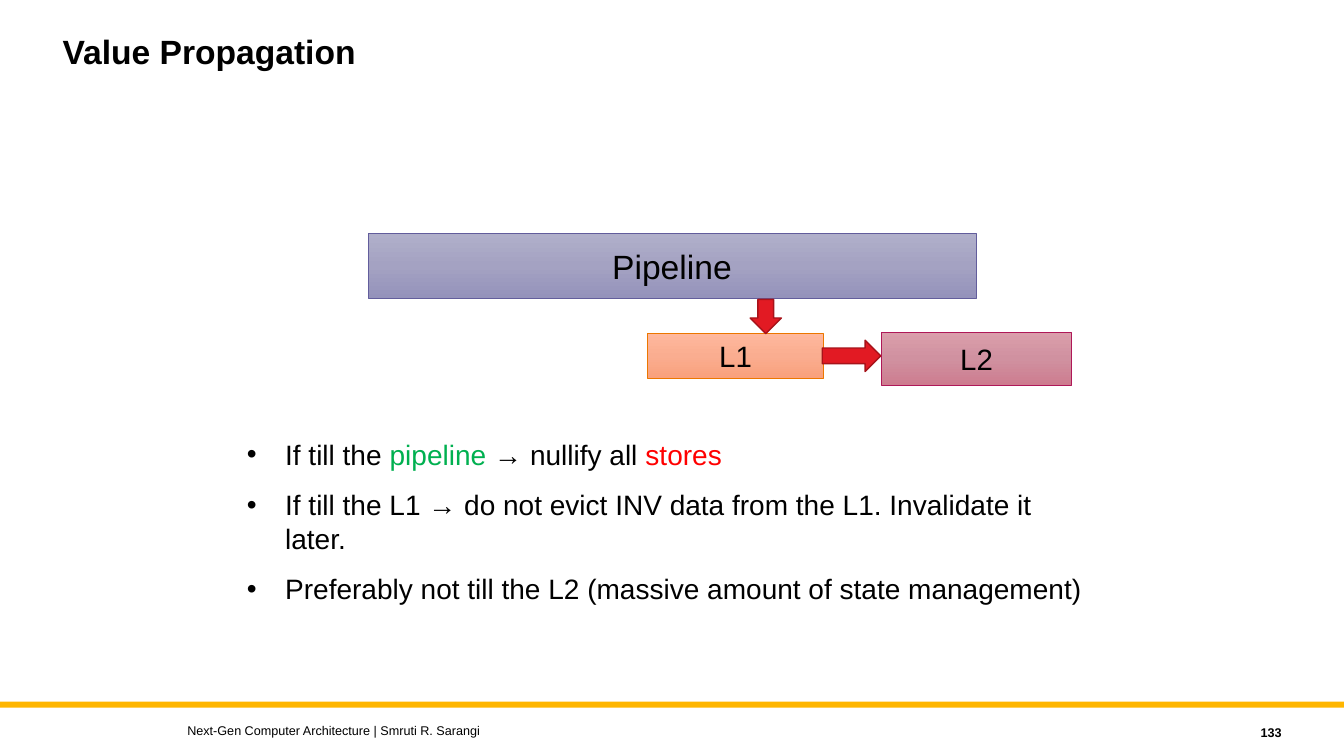
from copy import deepcopy
from lxml import etree
from pptx import Presentation
from pptx.dml.color import RGBColor as Rgb
from pptx.enum.shapes import MSO_SHAPE as Geo
from pptx.enum.text import MSO_ANCHOR as Anchor, PP_ALIGN as Align
from pptx.oxml.ns import qn
from pptx.util import Pt

PX = 9144
FONT = "Arial"
COLORS = {
    "black": "000000", "green": "00B050", "red": "FF0000", "gold": "FFB600",
    "arrow": "E21A23", "edge": "A7131A",
}
BOXES = [
    ("Pipeline", (365, 232, 603, 64), 24, ("B0AFCA", "A4A2C2", "9492BB"), "625D9C"),
    ("L1", (642, 331, 175, 44), 21, ("FFB89D", "FAAD90", "F9A17C"), "EC7700"),
    ("L2", (874, 330, 189, 52), 21, ("DA9EAB", "D091A0", "CD7C8F"), "AF1858"),
]
ARROWS = [((744, 297, 31, 34), 0), ((829, 324, 31, 58), 270)]
POINTS = [
    [("If till the ", "black"), ("pipeline ", "green"),
     ("→ nullify all ", "black"), ("stores", "red")],
    [("If till the L1 → do not evict INV data from the L1. Invalidate it later.", "black")],
    [("Preferably not till the L2 (massive amount of state management)", "black")],
]


def scale(box):
    """Turn px lengths into EMU."""
    return [n * PX for n in box]


def add_run(para, text, size, color="black", bold=False):
    """Add one styled run to a paragraph."""
    run = para.add_run()
    run.text = text
    font = run.font
    font.name, font.size, font.bold = FONT, Pt(size), bold
    font.color.rgb = Rgb.from_string(COLORS[color])


def add_title(slide, text):
    """Place and fill the title."""
    title = slide.shapes.title
    title.left, title.top, title.width, title.height = scale((52, 30, 1000, 90))
    frame = title.text_frame
    frame.vertical_anchor = Anchor.TOP
    para = frame.paragraphs[0]
    para.alignment, para.line_spacing = Align.LEFT, 0.9
    add_run(para, text, 24, bold=True)


def add_shape(slide, geo, box, fill, line, width):
    """Add a flat shape with a solid or graded fill."""
    shape = slide.shapes.add_shape(geo, *scale(box))
    shape.shadow.inherit = False
    if isinstance(fill, tuple):
        shape.fill.gradient()
        shape.fill.gradient_angle = 270
        stops = shape._element.spPr.find(qn("a:gradFill")).find(qn("a:gsLst"))
        stops.insert(1, deepcopy(stops[0]))
        for i, (stop, color) in enumerate(zip(shape.fill.gradient_stops, fill)):
            stop.position = i / 2
            stop.color.rgb = Rgb.from_string(color)
    else:
        shape.fill.solid()
        shape.fill.fore_color.rgb = Rgb.from_string(fill)
    if line:
        shape.line.color.rgb = Rgb.from_string(line)
        shape.line.width = Pt(width)
    else:
        shape.line.fill.background()
    return shape


def add_box(slide, text, box, size, fill, line):
    """Add a labelled block of the diagram."""
    frame = add_shape(slide, Geo.RECTANGLE, box, fill, line, 0.5).text_frame
    frame.vertical_anchor = Anchor.MIDDLE
    para = frame.paragraphs[0]
    para.alignment = Align.CENTER
    add_run(para, text, size)


def add_text(slide, box, anchor):
    """Add a wrapping text box and return its frame."""
    frame = slide.shapes.add_textbox(*scale(box)).text_frame
    frame.word_wrap = True
    frame.vertical_anchor = anchor
    return frame


def add_list(slide, box, points):
    """Add the bulleted points."""
    frame = add_text(slide, box, Anchor.TOP)
    for i, parts in enumerate(points):
        para = frame.add_paragraph() if i else frame.paragraphs[0]
        props = para._p.get_or_add_pPr()
        props.set("marL", str(38 * PX))
        props.set("indent", str(-38 * PX))
        etree.SubElement(props, qn("a:buFont"), typeface=FONT)
        etree.SubElement(props, qn("a:buChar"), char="•")
        if i:
            para.space_before = Pt(12)
        for text, color in parts:
            add_run(para, text, 20, color)


def add_foot(slide, box, text, align, bold):
    """Add one line of the footer."""
    para = add_text(slide, box, Anchor.MIDDLE).paragraphs[0]
    para.alignment = align
    add_run(para, text, 9, bold=bold)


def main():
    """Build and save the slide."""
    deck = Presentation()
    deck.slide_width, deck.slide_height = scale((1333, 750))
    slide = deck.slides.add_slide(deck.slide_layouts[5])
    add_shape(slide, Geo.RECTANGLE, (0, 696, 1333, 6), COLORS["gold"], None, 0)
    add_title(slide, "Value Propagation")
    add_list(slide, (235, 429, 862, 172), POINTS)
    for block in BOXES:
        add_box(slide, *block)
    for box, turn in ARROWS:
        arrow = add_shape(slide, Geo.DOWN_ARROW, box, COLORS["arrow"], COLORS["edge"], 1)
        arrow.rotation = turn
    add_foot(slide, (176, 712, 800, 25),
             "Next-Gen Computer Architecture | Smruti R. Sarangi", Align.LEFT, False)
    add_foot(slide, (1141, 714, 140, 25), "133", Align.RIGHT, True)
    deck.save("out.pptx")


if __name__ == "__main__":
    main()
